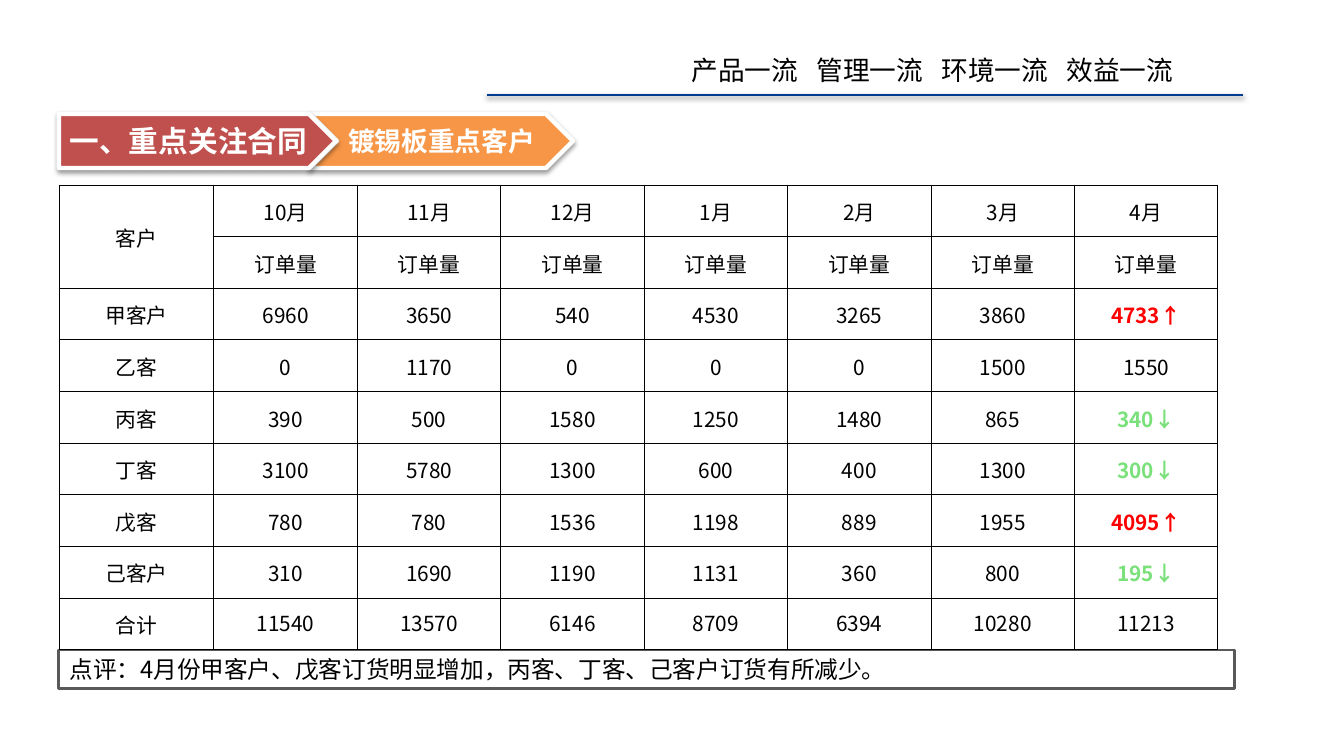
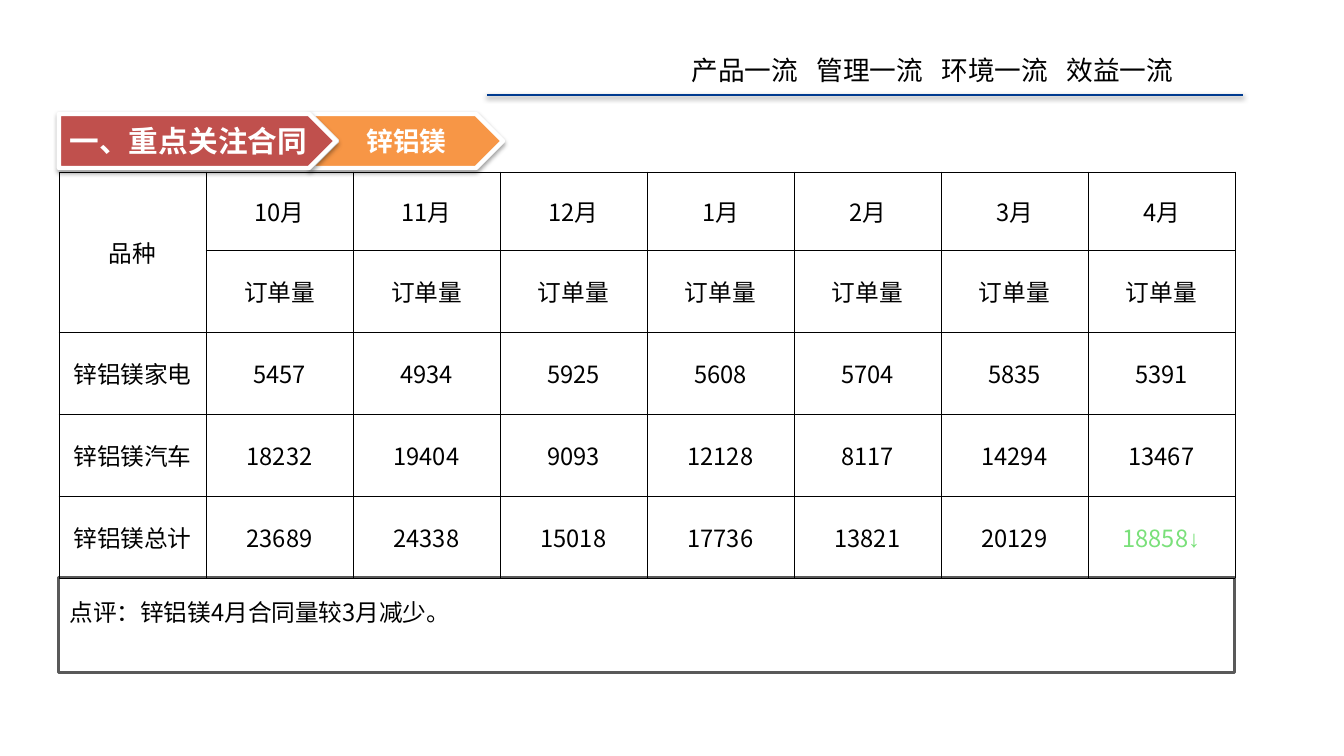
from lxml import etree
from pptx import Presentation
from pptx.dml.color import RGBColor
from pptx.enum.shapes import MSO_CONNECTOR as Connector, MSO_SHAPE as Preset
from pptx.enum.text import MSO_ANCHOR as Anchor, MSO_AUTO_SIZE as AutoSize, PP_ALIGN as Align
from pptx.oxml import parse_xml
from pptx.oxml.ns import nsdecls, qn
from pptx.util import Emu, Pt

# Shared look
BLACK = RGBColor(0x00, 0x00, 0x00)
WHITE = RGBColor(0xFF, 0xFF, 0xFF)
NAVY = RGBColor(0x00, 0x3B, 0x90)
GREY = RGBColor(0x59, 0x59, 0x59)
BRICK = RGBColor(0xC0, 0x50, 0x4D)
ORANGE = RGBColor(0xF7, 0x96, 0x46)
RED = RGBColor(0xFF, 0x00, 0x00)
GREEN = RGBColor(0x7A, 0xE0, 0x7A)
FONT = "Noto Sans CJK SC"
ARROW_COLORS = {"↑": RED, "↓": GREEN}

SCALE = 8572.5  # EMU in one px
PAGE_WIDTH, PAGE_HEIGHT = 1344, 756
LEFT = 59
BANNER = (LEFT, 114, 277, 54)
SLOGANS = ["产品一流", "管理一流", "环境一流", "效益一流"]
MONTHS = ["10月", "11月", "12月", "1月", "2月", "3月", "4月"]


def px(length):
    return Emu(round(length * SCALE))


def place(box):
    return [px(length) for length in box]


def add_run(para, text, size, color=BLACK, bold=False, font=FONT):
    run = para.add_run()
    run.text = text
    run.font.size = Pt(size)
    run.font.bold = bold
    run.font.color.rgb = color
    run.font.name = font
    etree.SubElement(run.font._element, qn("a:ea")).set("typeface", font)


def add_shadow(shape):
    shape._element.spPr.append(parse_xml(
        f'<a:effectLst {nsdecls("a")}><a:outerShdw blurRad="40000" dist="20000" '
        'dir="5400000" rotWithShape="0"><a:srgbClr val="000000"><a:alpha val="38000"/>'
        '</a:srgbClr></a:outerShdw></a:effectLst>'))


def add_block(page, preset, box, fill, line, width):
    block = page.shapes.add_shape(preset, *place(box))
    block.fill.solid()
    block.fill.fore_color.rgb = fill
    block.line.color.rgb = line
    block.line.width = Pt(width)
    return block


def add_header(page, layout):
    """Slogan and rule, handed to the layout so that every slide shows them."""
    slogan = page.shapes.add_textbox(*place((681, 49, 615, 43)))
    slogan.text_frame.word_wrap = True
    para = slogan.text_frame.paragraphs[0]
    tabs = etree.SubElement(para._p.get_or_add_pPr(), qn("a:tabLst"))
    for index in range(1, len(SLOGANS)):
        etree.SubElement(tabs, qn("a:tab"), pos=str(px(125 * index)), algn="l")
    add_run(para, "\t".join(SLOGANS), 18)

    rule = page.shapes.add_connector(Connector.STRAIGHT, *place((487, 95, 1243, 95)))
    rule.line.color.rgb = NAVY
    rule.line.width = Pt(2)
    add_shadow(rule)

    for number, shape in enumerate((slogan, rule), start=101):
        shape._element[0][0].set("id", str(number))
        layout.shapes.element.append(shape._element)


def add_topic(page, text, width):
    left, top, banner_width, height = BANNER
    chevron = add_block(page, Preset.CHEVRON, (left + banner_width - 26, top, width, height),
                        ORANGE, WHITE, 3)
    add_shadow(chevron)
    frame = chevron.text_frame
    frame.vertical_anchor = Anchor.MIDDLE
    frame.word_wrap = False
    para = frame.paragraphs[0]
    para.alignment = Align.CENTER
    add_run(para, text, 18, WHITE, True)


def add_title(page):
    add_shadow(add_block(page, Preset.PENTAGON, BANNER, BRICK, WHITE, 3))
    title = page.shapes.title
    title.left, title.top, title.width, title.height = place(BANNER)
    page.shapes.element.append(title._element)  # in front of the banner
    frame = title.text_frame
    frame.auto_size = AutoSize.NONE
    frame.word_wrap = True
    frame.vertical_anchor = Anchor.MIDDLE
    para = frame.paragraphs[0]
    para.alignment = Align.LEFT
    add_run(para, "一、重点关注合同", 20, WHITE, True)


def add_comment(page, box, text, spacing):
    comment = add_block(page, Preset.RECTANGLE, box, WHITE, GREY, 2)
    comment.shadow.inherit = False
    frame = comment.text_frame
    frame.word_wrap = True
    frame.vertical_anchor = Anchor.TOP
    para = frame.paragraphs[0]
    para.alignment = Align.LEFT
    para.line_spacing = spacing
    add_run(para, text, 16)


def format_cell(cell, border, bottom):
    cell.vertical_anchor = Anchor.MIDDLE
    cell.margin_left = cell.margin_right = cell.margin_top = px(1)
    cell.margin_bottom = px(bottom)
    properties = cell._tc.get_or_add_tcPr()
    for side in ("lnL", "lnR", "lnT", "lnB"):
        properties.append(parse_xml(
            f'<a:{side} {nsdecls("a")} w="{Pt(border)}"><a:solidFill>'
            f'<a:srgbClr val="{BLACK}"/></a:solidFill></a:{side}>'))
    cell.fill.background()


def add_orders(page, box, heading, rows, first_width, heights, size, border,
               arrow_font=FONT, bold_marks=False, total_bottom=0):
    """Order table: two heading rows, then one row for each name."""
    grid = [[heading, *MONTHS], ["", *["订单量"] * len(MONTHS)], *rows]
    table = page.shapes.add_table(len(grid), len(grid[0]), *place(box)).table
    table.first_row = table.horz_banding = False
    month_width = (box[2] - first_width) / len(MONTHS)
    for index, column in enumerate(table.columns):
        column.width = px(month_width if index else first_width)
    for row, height in zip(table.rows, heights):
        row.height = px(height)
    table.cell(0, 0).merge(table.cell(1, 0))

    for row_index, values in enumerate(grid):
        is_total = row_index == len(grid) - 1
        for column_index, value in enumerate(values):
            cell = table.cell(row_index, column_index)
            format_cell(cell, border, total_bottom if is_total and column_index else 0)
            para = cell.text_frame.paragraphs[0]
            para.alignment = Align.CENTER
            text = str(value)
            color = ARROW_COLORS.get(text[-1:])
            if color:
                add_run(para, text[:-1], size, color, bold_marks)
                add_run(para, text[-1], size, color, bold_marks, arrow_font)
            elif text:
                add_run(para, text, size)


def add_customer_slide(page):
    rows = [
        ["甲客户", 6960, 3650, 540, 4530, 3265, 3860, "4733↑"],
        ["乙客", 0, 1170, 0, 0, 0, 1500, 1550],
        ["丙客", 390, 500, 1580, 1250, 1480, 865, "340↓"],
        ["丁客", 3100, 5780, 1300, 600, 400, 1300, "300↓"],
        ["戊客", 780, 780, 1536, 1198, 889, 1955, "4095↑"],
        ["己客户", 310, 1690, 1190, 1131, 360, 800, "195↓"],
        ["合计", 11540, 13570, 6146, 8709, 6394, 10280, 11213],
    ]
    add_comment(page, (LEFT, 650, 1176, 39),
                "点评：4月份甲客户、戊客订货明显增加，丙客、丁客、己客户订货有所减少。", 1.0)
    add_topic(page, "镀锡板重点客户", 263)
    add_orders(page, (LEFT, 185, 1159, 465), "客户", rows, 155, [465 / 9] * 9, 14, 0.75,
               bold_marks=True, total_bottom=5)
    add_title(page)


def add_product_slide(page):
    rows = [
        ["锌铝镁家电", 5457, 4934, 5925, 5608, 5704, 5835, 5391],
        ["锌铝镁汽车", 18232, 19404, 9093, 12128, 8117, 14294, 13467],
        ["锌铝镁总计", 23689, 24338, 15018, 17736, 13821, 20129, "18858↓"],
    ]
    add_comment(page, (LEFT, 578, 1176, 95), "点评：锌铝镁4月合同量较3月减少。", 1.5)
    add_topic(page, "锌铝镁", 193)
    add_orders(page, (LEFT, 172, 1176, 406), "品种", rows, 147, [78] + [82] * 4, 16, 0.5,
               arrow_font="Arial")
    add_title(page)


def main():
    deck = Presentation()
    deck.slide_width, deck.slide_height = px(PAGE_WIDTH), px(PAGE_HEIGHT)
    layout = deck.slide_layouts[5]  # title only
    pages = [deck.slides.add_slide(layout) for _ in range(2)]
    add_header(pages[0], layout)
    add_customer_slide(pages[0])
    add_product_slide(pages[1])
    deck.save("out.pptx")


if __name__ == "__main__":
    main()
